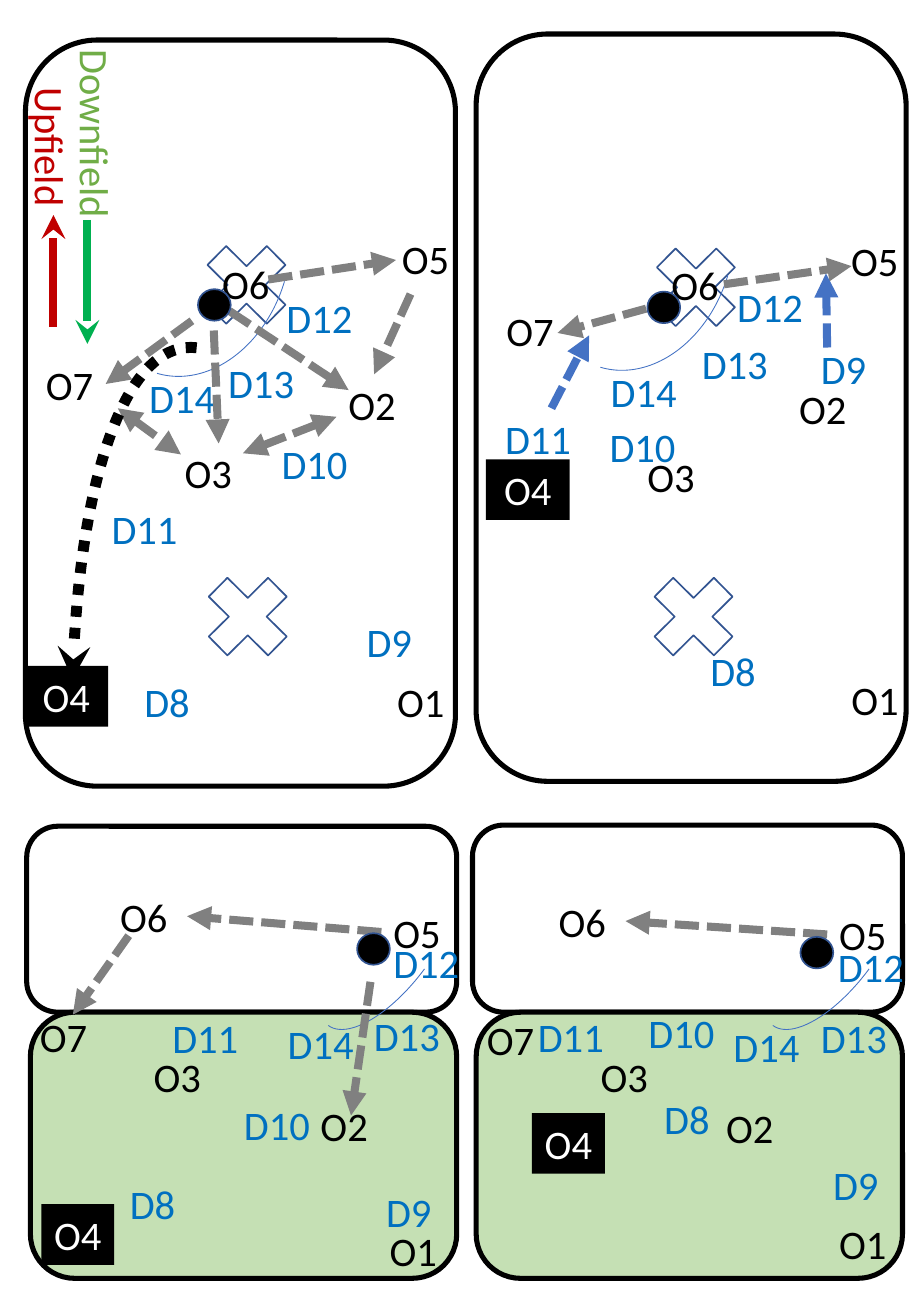
import dataclasses

import lxml.etree
import pptx
import pptx.util
from pptx.dml.color import RGBColor
from pptx.enum.dml import MSO_LINE
from pptx.enum.shapes import MSO_CONNECTOR, MSO_SHAPE
from pptx.enum.text import MSO_ANCHOR, MSO_AUTO_SIZE, PP_ALIGN
from pptx.oxml.ns import qn


@dataclasses.dataclass(frozen=True)
class Theme:
    font: str = "Calibri"
    size: float = 24
    black: str = "000000"
    white: str = "FFFFFF"
    defence: str = "0070C0"
    outline: str = "325491"
    move: str = "4472C4"
    throw: str = "808080"
    zone: str = "C5E0B4"
    upfield: str = "C00000"
    downfield: str = "70AD47"
    down_arrow: str = "00B050"
    hairline: float = 0.5
    thin: float = 1
    border: float = 3
    arrow: float = 4.75
    run: float = 6.5


THEME = Theme()
LABEL_HEIGHT = 0.5

# Label widths: full pitches, then close-ups
PITCH_WIDTHS = {"O": 0.74, "D": 0.97, "O1": 0.61, "O2": 0.61, "O3": 0.61,
                "O6": 0.84, "D8": 0.74, "D9": 0.74, "O4": 0.69}
CLOSE_WIDTHS = {"O": 0.65, "D": 0.86, "O2": 0.72, "O3": 0.6,
                "D8": 0.65, "D9": 0.65, "O4": 0.6}

# Each panel, in inches: fields, crosses, players, arc, ball, throws, moves
PANELS = [
    {"fields": [(0.21, 0.33, 3.54, 6.14, THEME.white)],
     "crosses": [(1.57, 4.61), (1.56, 1.88)],
     "widths": PITCH_WIDTHS,
     "players": {"O2": (2.77, 3.08), "O1": (3.17, 5.52), "O3": (1.41, 3.64),
                 "O4": (0.2, 5.48), "O5": (3.21, 1.88), "O6": (1.73, 2.08),
                 "O7": (0.28, 2.91), "D8": (1.09, 5.52), "D9": (2.92, 5.03),
                 "D10": (2.22, 3.56), "D11": (0.82, 4.1), "D12": (2.26, 2.36),
                 "D13": (1.78, 2.9), "D14": (1.13, 3.02)},
     "arc": (0.56, 1.3, 2.05, 1.58, 106.6),
     "ball": (1.63, 2.38),
     "throws": [(2.21, 2.3, 3.26, 2.14), (3.38, 2.42, 3.08, 3.08),
                (1.89, 2.56, 2.87, 3.21), (1.76, 2.72, 1.8, 3.65),
                (1.58, 2.64, 0.87, 3.16)],
     "two_way": [(2.77, 3.43, 2, 3.73), (0.97, 3.36, 1.49, 3.74)]},
    {"fields": [(3.92, 0.28, 3.54, 6.15, THEME.white)],
     "crosses": [(5.24, 4.61), (5.26, 1.9)],
     "widths": PITCH_WIDTHS,
     "players": {"O4": (4, 3.78), "D8": (5.75, 5.27), "O2": (6.48, 3.11),
                 "O1": (6.91, 5.51), "O3": (5.22, 3.67), "O5": (6.91, 1.89),
                 "O6": (5.43, 2.09), "O7": (4.07, 2.47), "D9": (6.66, 2.78),
                 "D10": (4.92, 3.42), "D11": (4.06, 3.36), "D12": (5.97, 2.27),
                 "D13": (5.68, 2.74), "D14": (4.93, 2.97)},
     "arc": (4.21, 1.25, 2.05, 1.58, 106.6),
     "ball": (5.33, 2.4),
     "throws": [(5.96, 2.34, 7.01, 2.19), (5.32, 2.54, 4.59, 2.74)],
     "moves": [(6.81, 2.86, 6.8, 2.25), (4.54, 3.36, 4.85, 2.76)]},
    {"fields": [(0.22, 6.8, 3.54, 1.53, THEME.white),
                (0.25, 8.33, 3.51, 2.19, THEME.zone)],
     "widths": CLOSE_WIDTHS,
     "players": {"O2": (2.54, 9.01), "O1": (3.11, 10.04), "O3": (1.16, 8.61),
                 "O4": (0.34, 9.91), "O5": (3.14, 7.42), "O6": (0.89, 7.29),
                 "O7": (0.23, 8.28), "D8": (0.97, 9.65), "D10": (1.91, 9),
                 "D11": (1.32, 8.29), "D12": (3.14, 7.67), "D13": (2.98, 8.27),
                 "D14": (2.27, 8.34), "D9": (3.08, 9.72)},
     "arc": (2.36, 7.4, 1.69, 0.72, 126.5),
     "ball": (2.94, 7.68),
     "throws": [(3.14, 7.67, 1.54, 7.54), (1.06, 7.7, 0.6, 8.35),
                (3.05, 8.08, 2.89, 9.18)]},
    {"fields": [(3.89, 6.79, 3.54, 1.54, THEME.white),
                (3.92, 8.33, 3.51, 2.19, THEME.zone)],
     "widths": CLOSE_WIDTHS,
     "players": {"O2": (5.88, 9.03), "O1": (6.81, 9.98), "O3": (4.84, 8.61),
                 "O4": (4.38, 9.16), "O5": (6.81, 7.44), "O6": (4.5, 7.33),
                 "O7": (3.91, 8.3), "D8": (5.37, 8.95), "D10": (5.24, 8.25),
                 "D11": (4.33, 8.28), "D12": (6.8, 7.7), "D13": (6.66, 8.29),
                 "D14": (5.94, 8.36), "D9": (6.76, 9.5)},
     "arc": (6.02, 7.4, 1.69, 0.72, 126.5),
     "ball": (6.59, 7.71),
     "throws": [(6.81, 7.69, 5.15, 7.58)]},
]


def inches(*values):
    return [pptx.util.Cm(value * 2.54) for value in values]


def style_line(line, colour, width):
    line.color.rgb = RGBColor.from_string(colour)
    line.width = pptx.util.Pt(width)


def add_figure(page, kind, frame, colour, width, fill=None):
    figure = page.shapes.add_shape(kind, *inches(*frame))
    figure.shadow.inherit = False
    if fill:
        figure.fill.solid()
        figure.fill.fore_color.rgb = RGBColor.from_string(fill)
    else:
        figure.fill.background()
    style_line(figure.line, colour, width)
    return figure


def write(box, text, colour, align=PP_ALIGN.LEFT):
    frame = box.text_frame
    frame.word_wrap = True
    frame.auto_size = MSO_AUTO_SIZE.SHAPE_TO_FIT_TEXT
    para = frame.paragraphs[0]
    para.alignment = align
    span = para.add_run()
    span.text = text
    span.font.name = THEME.font
    span.font.size = pptx.util.Pt(THEME.size)
    span.font.color.rgb = RGBColor.from_string(colour)


def add_label(page, text, frame, colour, align=PP_ALIGN.LEFT, rotation=0):
    box = page.shapes.add_textbox(*inches(*frame))
    box.rotation = rotation
    write(box, text, colour, align)


def add_player(page, name, left, top, widths):
    frame = (left, top, widths.get(name, widths[name[0]]), LABEL_HEIGHT)
    if name == "O4":
        block = add_figure(page, MSO_SHAPE.RECTANGLE, frame, THEME.black, THEME.thin, THEME.black)
        block.line.fill.background()
        block.text_frame.vertical_anchor = MSO_ANCHOR.TOP
        write(block, name, THEME.white, PP_ALIGN.CENTER)
    else:
        colour = THEME.black if name[0] == "O" else THEME.defence
        align = PP_ALIGN.CENTER if name == "O3" else PP_ALIGN.LEFT
        add_label(page, name, frame, colour, align)


def add_end(shape, end, kind):
    outline = shape._element.spPr.find(qn("a:ln"))
    lxml.etree.SubElement(outline, qn("a:" + end), type=kind)


def add_arrow(page, ends, colour, dash=MSO_LINE.SQUARE_DOT, kind="triangle", two_way=False):
    arrow = page.shapes.add_connector(MSO_CONNECTOR.STRAIGHT, *inches(*ends))
    style_line(arrow.line, colour, THEME.arrow)
    if dash:
        arrow.line.dash_style = dash
    if two_way:
        add_end(arrow, "headEnd", kind)
    add_end(arrow, "tailEnd", kind)
    lxml.etree.SubElement(arrow._element.spPr, qn("a:effectLst"))


def add_panel(page, panel):
    for *frame, fill in panel["fields"]:
        add_figure(page, MSO_SHAPE.ROUNDED_RECTANGLE, frame, THEME.black, THEME.border, fill)
    for left, top in panel.get("crosses", []):
        add_figure(page, MSO_SHAPE.MATH_MULTIPLY, (left, top, 0.94, 0.93), THEME.outline, THEME.thin)
    for name, (left, top) in panel["players"].items():
        add_player(page, name, left, top, panel["widths"])
    *frame, rotation = panel["arc"]
    add_figure(page, MSO_SHAPE.ARC, frame, THEME.move, THEME.hairline).rotation = rotation
    for ends in panel["throws"]:
        add_arrow(page, ends, THEME.throw)
    for ends in panel.get("two_way", []):
        add_arrow(page, ends, THEME.throw, two_way=True)
    for ends in panel.get("moves", []):
        add_arrow(page, ends, THEME.move)
    add_figure(page, MSO_SHAPE.OVAL, (*panel["ball"], 0.27, 0.26), THEME.outline, THEME.thin, THEME.black)


def add_directions(page):
    add_label(page, "Upfield", (-0.25, 1.04, 1.34, LABEL_HEIGHT), THEME.upfield, rotation=90)
    add_label(page, "Downfield", (-0.07, 0.92, 1.72, LABEL_HEIGHT), THEME.downfield, rotation=90)
    add_arrow(page, (0.72, 1.81, 0.72, 2.83), THEME.down_arrow, None, "stealth")
    add_arrow(page, (0.44, 2.69, 0.44, 1.77), THEME.upfield, None, "stealth")


def add_deep_run(page):
    curve = add_figure(page, MSO_SHAPE.ARC, (0.69, 2.83, 2.79, 9.79), THEME.black, THEME.run)
    curve.adjustments[0], curve.adjustments[1] = 161.32, 178.96
    curve.rotation = 353.4
    curve._element.spPr.find(qn("a:xfrm")).set("flipH", "1")
    curve.line.dash_style = MSO_LINE.ROUND_DOT
    add_end(curve, "tailEnd", "stealth")


def main():
    deck = pptx.Presentation()
    deck.slide_width, deck.slide_height = inches(7.5, 10.83)
    page = deck.slides.add_slide(deck.slide_layouts[6])
    # Four drill panels
    for panel in PANELS:
        add_panel(page, panel)
    # Direction key and the long run
    add_directions(page)
    add_deep_run(page)
    deck.save("out.pptx")


if __name__ == "__main__":
    main()
